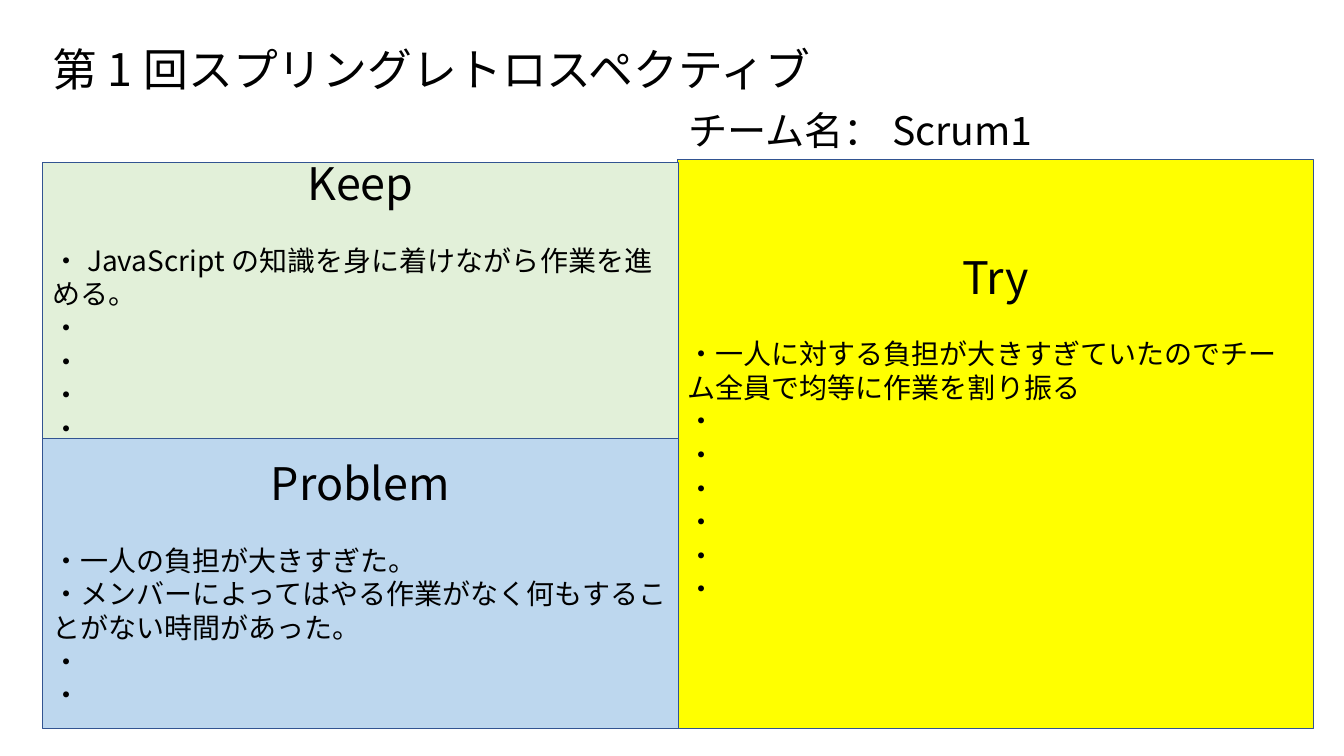
from pptx import Presentation
from pptx.dml.color import RGBColor
from pptx.enum.shapes import MSO_SHAPE
from pptx.enum.text import MSO_ANCHOR, PP_ALIGN
from pptx.oxml.ns import qn
from pptx.util import Inches, Pt

RECTANGLE = MSO_SHAPE.RECTANGLE
MIDDLE, TOP = MSO_ANCHOR.MIDDLE, MSO_ANCHOR.TOP
CENTER, LEFT = PP_ALIGN.CENTER, PP_ALIGN.LEFT
FONT = "Noto Sans CJK JP"
HEADING_SIZE, ITEM_SIZE = 32, 20
LINE_RATIO = 1.2
PANEL_WIDTH = 6.31
BULLET = "・"


def color(hex_code):
    """Turn a hex string into a colour."""
    return RGBColor.from_string(hex_code)


def style(para, size, align=LEFT):
    """Format a paragraph and its runs."""
    para.alignment = align
    for span in para.runs:
        span.font.size = Pt(size)
        span.font.name = FONT
        span.font.color.rgb = color("000000")
        east_asian = span.font._element.makeelement(qn("a:ea"), {"typeface": FONT})
        span.font._element.append(east_asian)


def add_label(page, text, left, top, width, height, size, anchor):
    """Add a one-line text box."""
    box = page.shapes.add_textbox(
        Inches(left), Inches(top), Inches(width), Inches(height))
    frame = box.text_frame
    frame.word_wrap = True
    frame.vertical_anchor = anchor
    frame.text = text
    para = frame.paragraphs[0]
    style(para, size)
    para.line_spacing = Pt(size * LINE_RATIO)


def add_panel(page, heading, items, left, top, height, fill, bottom_margin=0.05):
    """Add a filled panel with a centred heading and its items."""
    panel = page.shapes.add_shape(
        RECTANGLE, Inches(left), Inches(top), Inches(PANEL_WIDTH), Inches(height))
    panel.shadow.inherit = False
    panel.fill.solid()
    panel.fill.fore_color.rgb = color(fill)
    panel.line.color.rgb = color("325491")
    panel.line.width = Pt(1)
    frame = panel.text_frame
    frame.word_wrap = True
    frame.vertical_anchor = MIDDLE
    frame.margin_bottom = Inches(bottom_margin)
    frame.text = "\n".join([heading] + [BULLET + item for item in items])
    title, *entries = frame.paragraphs
    style(title, HEADING_SIZE, CENTER)
    title.line_spacing = Pt(HEADING_SIZE * LINE_RATIO)
    title.space_after = Pt(ITEM_SIZE * LINE_RATIO)
    for entry in entries:
        style(entry, ITEM_SIZE)
        entry.line_spacing = Pt(ITEM_SIZE * LINE_RATIO)


def main():
    """Build the retrospective slide."""
    deck = Presentation()
    deck.slide_width, deck.slide_height = Inches(13.33), Inches(7.5)
    page = deck.slides.add_slide(deck.slide_layouts[6])
    add_label(page, "第1回スプリングレトロスペクティブ",
              0.42, 0.27, 12.48, 0.82, 32, MIDDLE)
    add_panel(page, "Try",
              ["一人に対する負担が大きすぎていたのでチーム全員で均等に作業を割り振る"] + [""] * 6,
              6.72, 1.58, 5.65, "FFFF00", bottom_margin=0.38)
    add_panel(page, "Keep",
              ["JavaScriptの知識を身に着けながら作業を進める。"] + [""] * 4,
              0.42, 1.61, 2.74, "E2F0D9")
    add_panel(page, "Problem",
              ["一人の負担が大きすぎた。",
               "メンバーによってはやる作業がなく何もすることがない時間があった。"] + [""] * 2,
              0.42, 4.35, 2.88, "BDD7EE")
    add_label(page, "チーム名:Scrum1".replace(":", "："),
              6.73, 1.01, 6.29, 0.57, 28, TOP)
    deck.save("out.pptx")


main()
